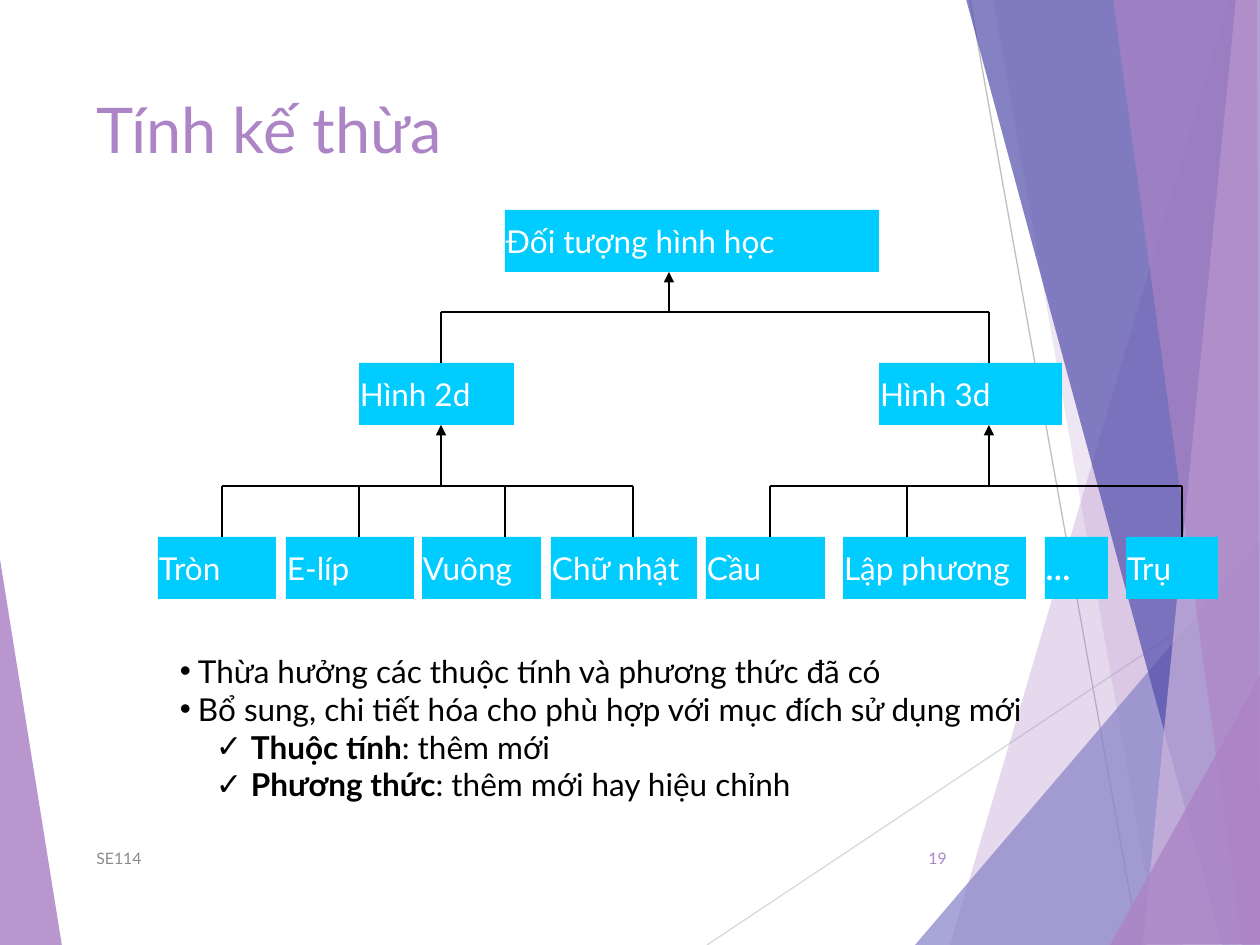
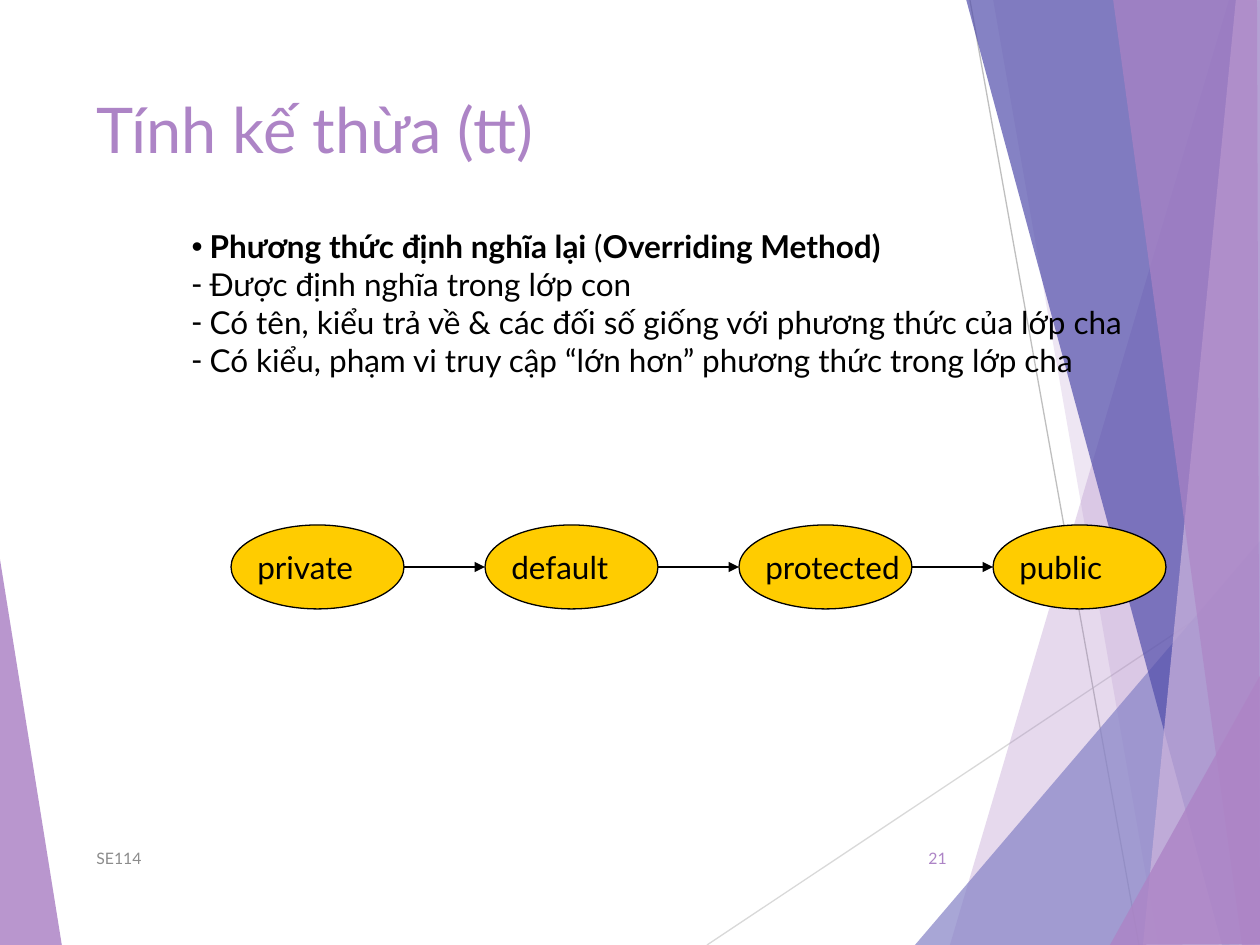
from dataclasses import dataclass
from typing import Any

from lxml.etree import SubElement
from pptx import Presentation
from pptx.dml.color import RGBColor
from pptx.enum.shapes import MSO_CONNECTOR, MSO_SHAPE
from pptx.enum.text import MSO_ANCHOR, MSO_AUTO_SIZE, PP_ALIGN
from pptx.oxml.ns import qn
from pptx.util import Pt

# Scale, font and colours
SCALE = 914400 / 126
FACE = "Lato"
BLACK = RGBColor(0x00, 0x00, 0x00)
WHITE = RGBColor(0xFF, 0xFF, 0xFF)
GREY = RGBColor(0x8C, 0x8C, 0x8C)
SILVER = RGBColor(0xBF, 0xBF, 0xBF)
PALE = RGBColor(0xD9, 0xD9, 0xD9)
PURPLE = RGBColor(0xAD, 0x84, 0xC6)
LILAC = RGBColor(0xCE, 0xB5, 0xDD)
BLUE = RGBColor(0x87, 0x84, 0xC7)
NAVY = RGBColor(0x52, 0x4E, 0xAB)
CYAN = RGBColor(0x00, 0xCC, 0xFF)
GOLD = RGBColor(0xFF, 0xCC, 0x00)


@dataclass
class Facet:
    points: list[tuple[int, int]]
    color: RGBColor
    alpha: int


@dataclass
class Ray:
    start: tuple[int, int]
    end: tuple[int, int]
    color: RGBColor = BLACK
    arrow: bool = False


@dataclass
class Box:
    text: str
    left: int
    top: int
    width: int
    bold: bool = False


@dataclass
class Fork:
    stem: int
    top: int
    bar: int
    foot: int
    legs: list[int]


@dataclass
class Item:
    mark: str
    runs: list[tuple[str, bool]]
    level: int = 0


# Background, from back to front
DECOR: list[Facet | Ray] = [
    Facet([(-1, 553), (62, 946), (-1, 945)], PURPLE, 85),
    Ray((707, 945), (1261, 576), PALE),
    Ray((970, 0), (1139, 945), SILVER),
    Facet([(1229, 0), (950, 945), (1262, 946), (1261, 1)], PURPLE, 30),
    Facet([(993, -1), (1158, 945), (1261, 945), (1261, -1)], PURPLE, 20),
    Facet([(915, 945), (1260, 541), (1261, 945)], BLUE, 72),
    Facet([(966, -1), (1222, 945), (1261, 944), (1261, -1)], NAVY, 70),
    Facet([(1236, -1), (1143, 945), (1261, 945), (1260, -1)], LILAC, 70),
    Facet([(1113, -1), (1242, 945), (1260, 945), (1257, -1)], PURPLE, 65),
    Facet([(1110, 945), (1261, 674), (1261, 944)], PURPLE, 80),
]

# Class tree
TIERS = [210, 363, 537]
HEIGHT = 62
TREE = [
    Box("Đối tượng hình học", 505, TIERS[0], 374),
    Box("Hình 2d", 359, TIERS[1], 155),
    Box("Hình 3d", 879, TIERS[1], 183),
    Box("Tròn", 158, TIERS[2], 118),
    Box("E-líp", 286, TIERS[2], 128),
    Box("Vuông", 422, TIERS[2], 119),
    Box("Chữ nhật", 551, TIERS[2], 146),
    Box("Cầu", 706, TIERS[2], 119),
    Box("Lập phương", 843, TIERS[2], 183),
    Box("…", 1045, TIERS[2], 63, bold=True),
    Box("Trụ", 1126, TIERS[2], 92),
]
FORKS = [
    Fork(669, TIERS[0] + HEIGHT, 312, TIERS[1], [441, 989]),
    Fork(441, TIERS[1] + HEIGHT, 486, TIERS[2], [222, 359, 505, 633]),
    Fork(989, TIERS[1] + HEIGHT, 486, TIERS[2], [770, 907, 1182]),
]
TRAITS = [
    Item("•", [("Thừa hưởng các thuộc tính và phương thức đã có", False)]),
    Item("•", [("Bổ sung, chi tiết hóa cho phù hợp với mục đích sử dụng mới", False)]),
    Item("✓", [("Thuộc tính", True), (": thêm mới", False)], 1),
    Item("✓", [("Phương thức", True), (": thêm mới hay hiệu chỉnh", False)], 1),
]

# Access scopes
SCOPES = ["private", "default", "protected", "public"]
STEP = 254
OVAL = (173, 84)
RULES = [
    Item("•", [("Phương thức định nghĩa lại ", True), ("(", False),
               ("Overriding Method)", True)]),
    Item("-", [("Được định nghĩa trong lớp con", False)]),
    Item("-", [("Có tên, kiểu trả về & các đối số giống với phương thức của lớp cha",
                False)]),
    Item("-", [("Có kiểu, phạm vi truy cập “lớn hơn” phương thức trong lớp cha",
                False)]),
]

# Left margin and hanging indent of each list level
INDENTS = [(18, -18), (71, -35)]
TIGHT = dict.fromkeys(
    ("margin_left", "margin_top", "margin_right", "margin_bottom"), round(SCALE))


def px(*values: int) -> list[int]:
    return [round(value * SCALE) for value in values]


def assign(target: Any, values: dict[str, Any]) -> None:
    for name, value in values.items():
        setattr(target, name, value)


def place(shape: Any, *area: int) -> None:
    assign(shape, dict(zip(("left", "top", "width", "height"), px(*area))))


def write(para: Any, text: str, size: int, color: RGBColor, bold: bool = False) -> None:
    run = para.add_run()
    run.text = text
    assign(run.font, {"name": FACE, "size": Pt(size), "bold": bold})
    run.font.color.rgb = color


def draw_facet(slide: Any, facet: Facet) -> Any:
    first, *rest = facet.points
    path = slide.shapes.build_freeform(*first, scale=SCALE)
    path.add_line_segments(rest, close=True)
    shape = path.convert_to_shape()
    shape.shadow.inherit = False
    shape.fill.solid()
    shape.fill.fore_color.rgb = facet.color
    tint = next(shape.element.iter(qn("a:srgbClr")))
    SubElement(tint, qn("a:alpha"), val=str(facet.alpha * 1000))
    shape.line.fill.background()
    return shape


def draw_ray(slide: Any, ray: Ray) -> Any:
    line = slide.shapes.add_connector(
        MSO_CONNECTOR.STRAIGHT, *px(*ray.start, *ray.end))
    line.line.width = Pt(0.75)
    line.line.color.rgb = ray.color
    if ray.arrow:
        SubElement(line.line._get_or_add_ln(), qn("a:tailEnd"), type="triangle")
    SubElement(line.element.spPr, qn("a:effectLst"))
    return line


def draw_box(slide: Any, box: Box, kind: MSO_SHAPE, height: int,
             fill: RGBColor, ink: RGBColor, edge: RGBColor | None = None) -> None:
    shape = slide.shapes.add_shape(kind, *px(box.left, box.top, box.width, height))
    shape.shadow.inherit = False
    shape.fill.solid()
    shape.fill.fore_color.rgb = fill
    if edge is None:
        shape.line.fill.background()
    else:
        shape.line.color.rgb = edge
        shape.line.width = Pt(0.75)
    frame = shape.text_frame
    assign(frame, {**TIGHT, "word_wrap": False, "vertical_anchor": MSO_ANCHOR.MIDDLE})
    para = frame.paragraphs[0]
    para.alignment = PP_ALIGN.LEFT
    write(para, box.text, 18, ink, box.bold)


def draw_fork(slide: Any, fork: Fork) -> None:
    draw_ray(slide, Ray((min(fork.legs), fork.bar), (max(fork.legs), fork.bar)))
    for leg in fork.legs:
        draw_ray(slide, Ray((leg, fork.foot), (leg, fork.bar)))
    draw_ray(slide, Ray((fork.stem, fork.bar), (fork.stem, fork.top), arrow=True))


def draw_note(slide: Any, text: str, left: int, width: int,
              color: RGBColor, align: PP_ALIGN) -> None:
    frame = slide.shapes.add_textbox(*px(left, 833, width, 50)).text_frame
    assign(frame, {"word_wrap": True, "vertical_anchor": MSO_ANCHOR.MIDDLE})
    para = frame.paragraphs[0]
    para.alignment = align
    write(para, text, 9, color)


def fill_list(body: Any, items: list[Item], area: tuple[int, ...],
              align: PP_ALIGN, frame_format: dict[str, Any]) -> None:
    place(body, *area)
    frame = body.text_frame
    assign(frame, {"word_wrap": True, "auto_size": MSO_AUTO_SIZE.NONE, **frame_format})
    for index, item in enumerate(items):
        para = frame.add_paragraph() if index else frame.paragraphs[0]
        props = para._p.get_or_add_pPr()
        for name, value in zip(("marL", "indent"), px(*INDENTS[item.level])):
            props.set(name, str(value))
        SubElement(props, qn("a:buChar"), char=item.mark)
        assign(para, {"level": item.level, "alignment": align, "space_before": Pt(0)})
        for text, bold in item.runs:
            write(para, text, 18, BLACK, bold)


def start_slide(deck: Any, title: str, number: str) -> Any:
    slide = deck.slides.add_slide(deck.slide_layouts[1])
    head = slide.shapes.title
    place(head, 84, 84, 875, 181)
    assign(head.text_frame, {"word_wrap": True, "auto_size": MSO_AUTO_SIZE.NONE,
                             "vertical_anchor": MSO_ANCHOR.TOP})
    para = head.text_frame.paragraphs[0]
    para.alignment = PP_ALIGN.LEFT
    write(para, title, 36, PURPLE)
    draw_note(slide, "SE114", 84, 638, GREY, PP_ALIGN.LEFT)
    draw_note(slide, number, 888, 71, PURPLE, PP_ALIGN.RIGHT)
    return slide


def dress_layout(slide: Any) -> None:
    # Draw the background once and hand it to the shared layout
    tree = slide.slide_layout.shapes.element
    for part in DECOR:
        draw = draw_facet if isinstance(part, Facet) else draw_ray
        tree.append(draw(slide, part).element)


def main() -> None:
    deck = Presentation()
    assign(deck, dict(zip(("slide_width", "slide_height"), px(1260, 945))))

    # Class tree slide
    slide = start_slide(deck, "Tính kế thừa", "19")
    dress_layout(slide)
    for box in TREE:
        draw_box(slide, box, MSO_SHAPE.RECTANGLE, HEIGHT, CYAN, WHITE)
    for fork in FORKS:
        draw_fork(slide, fork)
    fill_list(slide.placeholders[1], TRAITS, (179, 651, 1040, 155),
              PP_ALIGN.LEFT, TIGHT)

    # Overriding slide
    slide = start_slide(deck, "Tính kế thừa (tt)", "21")
    fill_list(slide.placeholders[1], RULES, (179, 221, 1061, 165),
              PP_ALIGN.JUSTIFY, {})
    width, height = OVAL
    top = 525
    for index, scope in enumerate(SCOPES):
        left = 231 + index * STEP
        draw_box(slide, Box(scope, left, top, width), MSO_SHAPE.OVAL, height,
                 GOLD, BLACK, BLACK)
        if index:
            mid = top + height // 2
            draw_ray(slide, Ray((left - STEP + width, mid), (left, mid), arrow=True))

    deck.save("out.pptx")


if __name__ == "__main__":
    main()
